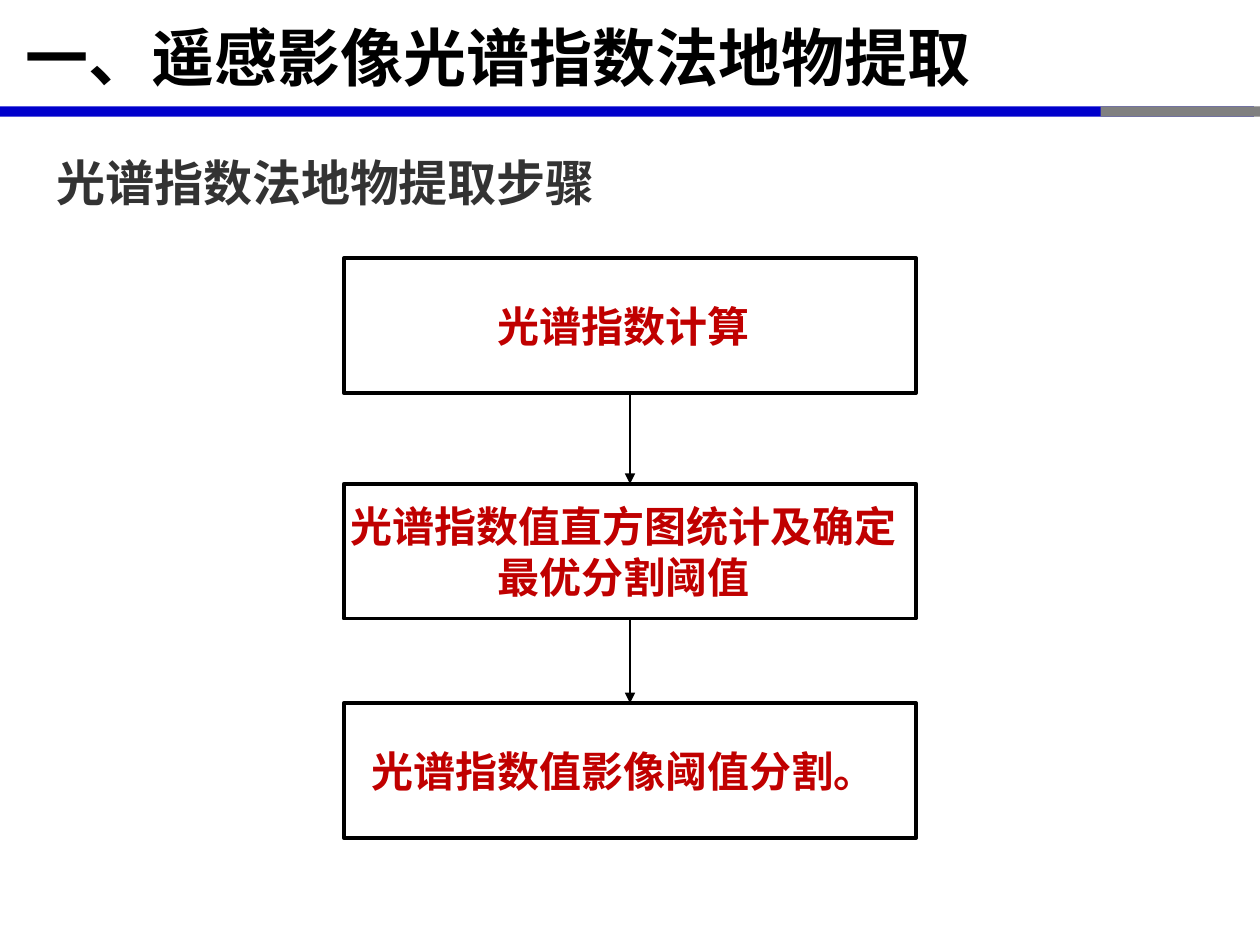
from itertools import pairwise

from lxml import etree
from pptx import Presentation
from pptx.dml.color import RGBColor
from pptx.enum.shapes import MSO_CONNECTOR, MSO_SHAPE
from pptx.enum.text import MSO_ANCHOR, PP_ALIGN
from pptx.oxml.ns import qn
from pptx.util import Pt

RECTANGLE = MSO_SHAPE.RECTANGLE
STRAIGHT = MSO_CONNECTOR.STRAIGHT
MIDDLE = MSO_ANCHOR.MIDDLE
CENTER = PP_ALIGN.CENTER
JUSTIFY = PP_ALIGN.JUSTIFY
BOTTOM_SIDE, TOP_SIDE = 2, 0

BLACK = RGBColor(0x00, 0x00, 0x00)
BLUE = RGBColor(0x00, 0x00, 0xCC)
GRAY = RGBColor(0x80, 0x80, 0x80)
DARK_GRAY = RGBColor(0x33, 0x33, 0x33)
RED = RGBColor(0xC0, 0x00, 0x00)
FONT = "Noto Sans CJK SC"

STEP_LEFT, STEP_WIDTH, STEP_HEIGHT = 196.5, 327, 77
STEPS = [
    (147.6, "光谱指数计算"),
    (276.5, "光谱指数值直方图统计及确定最优分割阈值"),
    (401.8, "光谱指数值影像阈值分割。"),
]


def write_text(shape, text, size, color):
    shape.text_frame.word_wrap = True
    paragraph = shape.text_frame.paragraphs[0]
    paragraph.text = text
    font = paragraph.font
    font.name = FONT
    font.size = Pt(size)
    font.bold = True
    font.color.rgb = color
    defaults = paragraph._p.pPr.find(qn("a:defRPr"))
    etree.SubElement(defaults, qn("a:ea"), typeface=FONT)
    return paragraph


def add_text(slide, left, top, width, height, text, size, color):
    box = slide.shapes.add_textbox(Pt(left), Pt(top), Pt(width), Pt(height))
    return box, write_text(box, text, size, color)


def add_rectangle(slide, left, top, width, height):
    shape = slide.shapes.add_shape(RECTANGLE, Pt(left), Pt(top), Pt(width), Pt(height))
    shape.shadow.inherit = False
    return shape


def add_bar(slide, left, top, width, color):
    bar = add_rectangle(slide, left, top, width, 5.8)
    bar.fill.solid()
    bar.fill.fore_color.rgb = color
    bar.line.fill.background()


def add_step(slide, top, text):
    step = add_rectangle(slide, STEP_LEFT, top, STEP_WIDTH, STEP_HEIGHT)
    step.fill.background()
    step.line.color.rgb = BLACK
    step.line.width = Pt(2.25)
    step.text_frame.margin_left = 0
    step.text_frame.vertical_anchor = MIDDLE
    write_text(step, text, 24, RED).alignment = CENTER
    return step


def add_arrow(slide, upper, lower):
    arrow = slide.shapes.add_connector(STRAIGHT, 0, 0, 0, 0)
    arrow.begin_connect(upper, BOTTOM_SIDE)
    arrow.end_connect(lower, TOP_SIDE)
    arrow.line.color.rgb = BLACK
    arrow.line.width = Pt(1.5)
    etree.SubElement(arrow.line._get_or_add_ln(), qn("a:tailEnd"), type="triangle")
    etree.SubElement(arrow._element.spPr, qn("a:effectLst"))


def main():
    presentation = Presentation()
    presentation.slide_width = Pt(720)
    presentation.slide_height = Pt(540)
    slide = presentation.slides.add_slide(presentation.slide_layouts[6])

    add_bar(slide, 0, 60.8, 716.5, BLUE)
    add_bar(slide, 629, 60.8, 91, GRAY)

    title, paragraph = add_text(
        slide, 0, 0.7, 710, 62.6, "一、遥感影像光谱指数法地物提取", 36, BLACK
    )
    title.text_frame.vertical_anchor = MIDDLE
    paragraph._p.pPr.set("indent", str(Pt(7.2)))

    _, paragraph = add_text(
        slide, 25.2, 67, 670, 51.8, "光谱指数法地物提取步骤", 28, DARK_GRAY
    )
    paragraph.alignment = JUSTIFY
    paragraph.line_spacing = 1.5

    steps = [add_step(slide, top, text) for top, text in STEPS]
    for upper, lower in pairwise(steps):
        add_arrow(slide, upper, lower)

    presentation.save("out.pptx")


if __name__ == "__main__":
    main()
